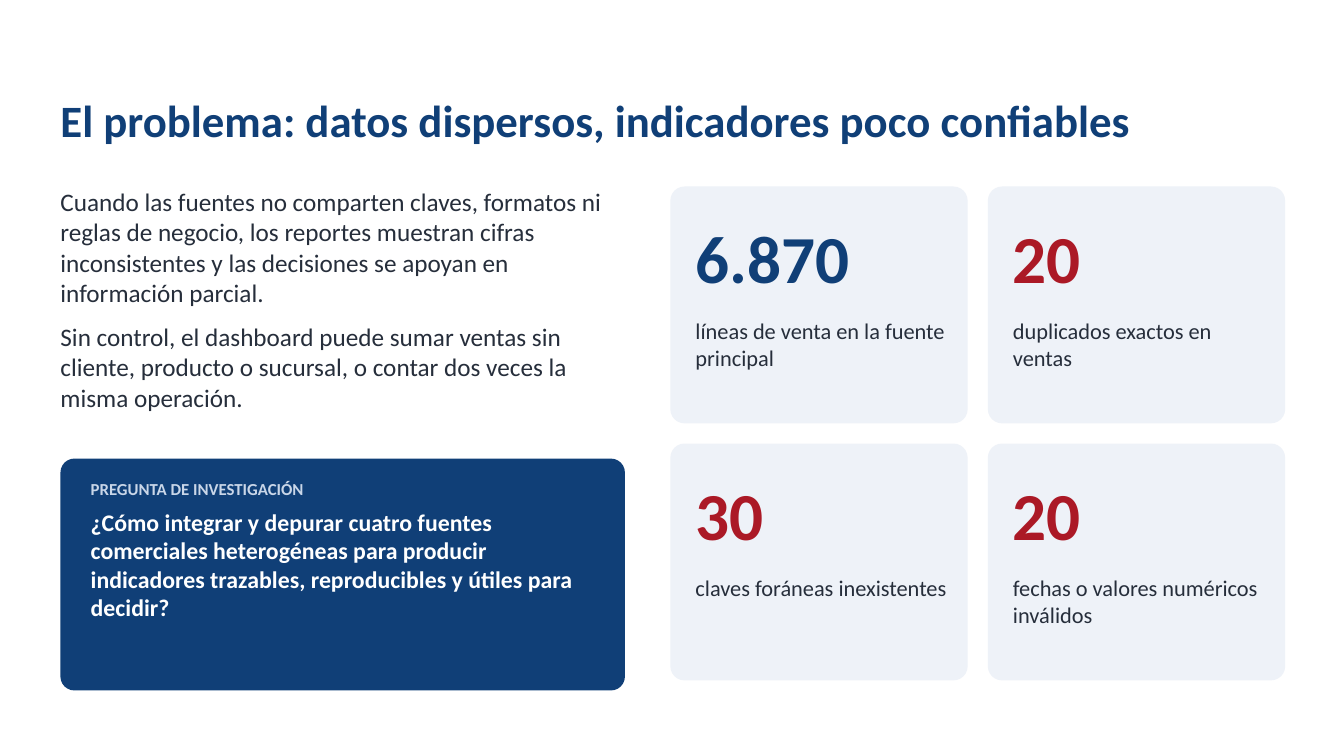
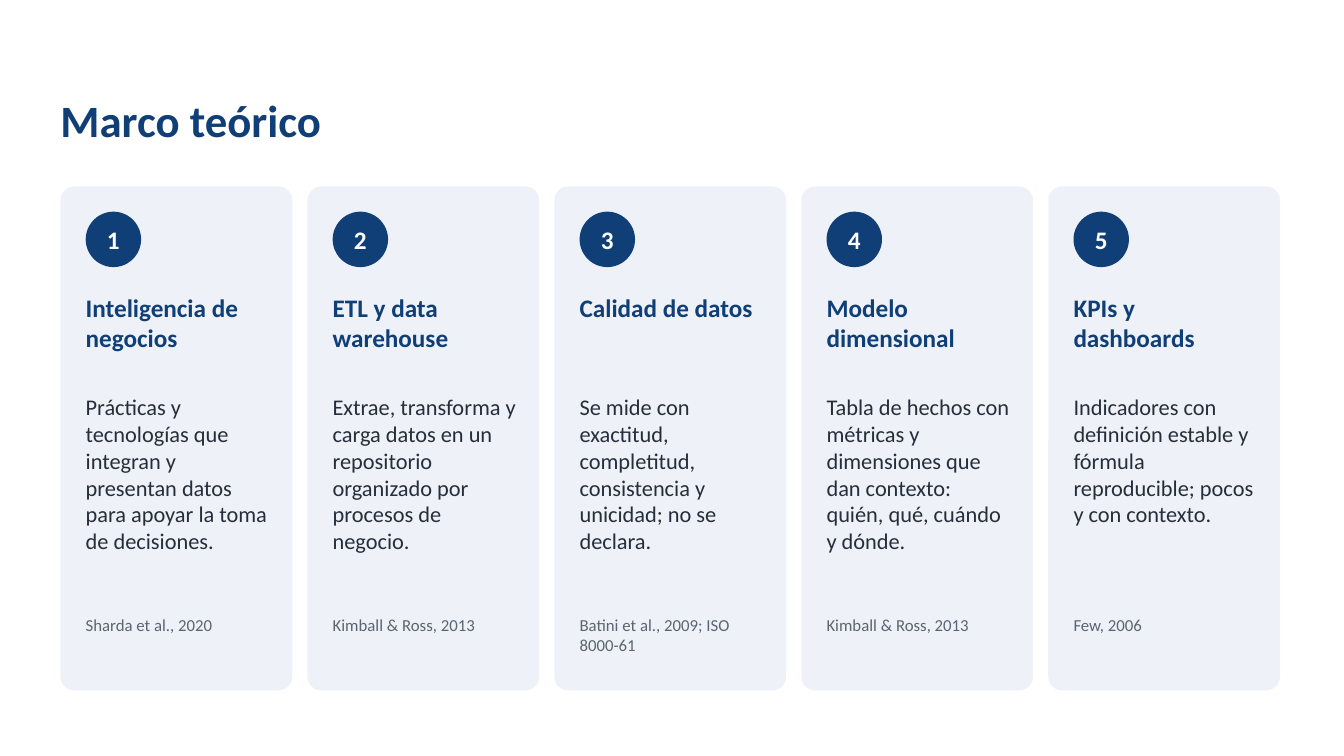
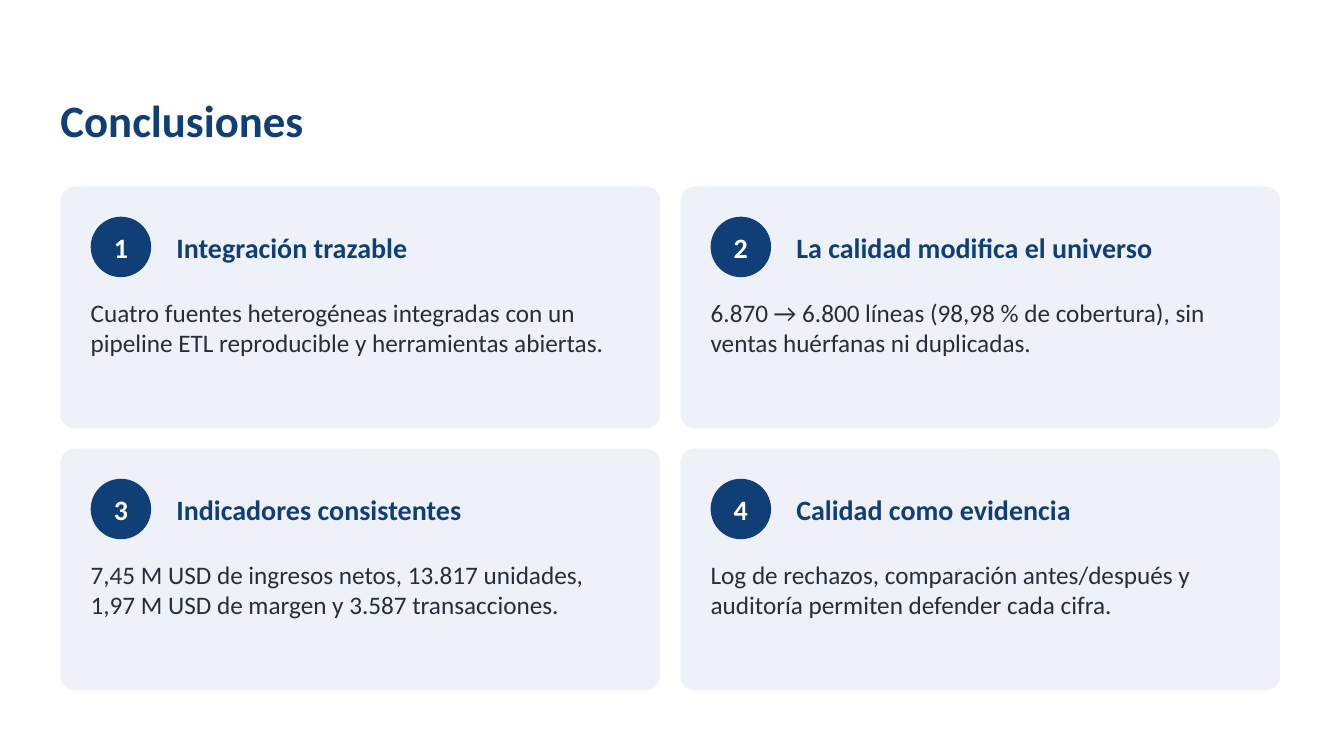
from dataclasses import dataclass

from pptx import Presentation
from pptx.dml.color import RGBColor
from pptx.enum.shapes import MSO_SHAPE
from pptx.enum.text import MSO_ANCHOR, PP_ALIGN
from pptx.util import Pt


@dataclass(frozen=True)
class Theme:
    font: str = "Calibri"
    navy: str = "103F77"
    red: str = "AB1926"
    ink: str = "262E3B"
    gray: str = "5A6472"
    pale: str = "EEF2F8"
    sky: str = "C9D6E8"
    white: str = "FFFFFF"
    title: int = 32
    figure: int = 48
    heading: int = 20
    body: int = 18
    question: int = 17
    small: int = 16
    note: int = 12
    corner: float = 0.06
    left: float = 43.2
    top: float = 133.2


T = Theme()


def grid(items, cols, left, top, w, h, gap):
    for i, item in enumerate(items):
        row, col = divmod(i, cols)
        yield i + 1, left + col * (w + gap), top + row * (h + gap), item


class Deck:
    def __init__(self):
        self.prs = Presentation()
        self.prs.slide_width, self.prs.slide_height = Pt(960), Pt(540)
        self.s = None

    def slide(self, title):
        self.s = self.prs.slides.add_slide(self.prs.slide_layouts[6])
        tf = self.text(T.left, 59.04, 871.2, 57.6, (title, T.title, T.navy, True),
                       anchor=MSO_ANCHOR.MIDDLE)
        tf.paragraphs[0].line_spacing = 0.9

    def fill_text(self, tf, paragraphs, anchor, align=PP_ALIGN.LEFT, after=0):
        tf.word_wrap = True
        tf.vertical_anchor = anchor
        tf.margin_left = tf.margin_right = tf.margin_top = tf.margin_bottom = 0
        for i, (text, size, color, bold) in enumerate(paragraphs):
            p = tf.add_paragraph() if i else tf.paragraphs[0]
            p.text = text
            p.alignment = align
            if i < len(paragraphs) - 1:
                p.space_after = Pt(after)
            p.font.name = T.font
            p.font.size = Pt(size)
            p.font.bold = bold
            p.font.color.rgb = RGBColor.from_string(color)

    def text(self, x, y, w, h, *paragraphs, anchor=MSO_ANCHOR.TOP, after=0):
        tf = self.s.shapes.add_textbox(Pt(x), Pt(y), Pt(w), Pt(h)).text_frame
        self.fill_text(tf, paragraphs, anchor, after=after)
        return tf

    def shape(self, kind, x, y, w, h, fill):
        sp = self.s.shapes.add_shape(kind, Pt(x), Pt(y), Pt(w), Pt(h))
        sp.shadow.inherit = False
        sp.fill.solid()
        sp.fill.fore_color.rgb = RGBColor.from_string(fill)
        sp.line.fill.background()
        return sp

    def card(self, x, y, w, h, fill=T.pale):
        sp = self.shape(MSO_SHAPE.ROUNDED_RECTANGLE, x, y, w, h, fill)
        sp.adjustments[0] = T.corner

    def badge(self, x, y, d, number, size):
        sp = self.shape(MSO_SHAPE.OVAL, x, y, d, d, T.navy)
        self.fill_text(sp.text_frame, [(str(number), size, T.white, True)],
                       MSO_ANCHOR.MIDDLE, PP_ALIGN.CENTER)


def problem(deck):
    deck.slide("El problema: datos dispersos, indicadores poco confiables")
    deck.text(
        T.left, T.top, 403.2, 187.2,
        ("Cuando las fuentes no comparten claves, formatos ni reglas de negocio, los reportes "
         "muestran cifras inconsistentes y las decisiones se apoyan en información parcial.",
         T.body, T.ink, False),
        ("Sin control, el dashboard puede sumar ventas sin cliente, producto o sucursal, "
         "o contar dos veces la misma operación.", T.body, T.ink, False),
        after=10)
    deck.card(T.left, 327.6, 403.2, 165.6, T.navy)
    deck.text(
        T.left + 21.6, 342, 360, 140.4,
        ("PREGUNTA DE INVESTIGACIÓN", T.note, T.sky, True),
        ("¿Cómo integrar y depurar cuatro fuentes comerciales heterogéneas para producir "
         "indicadores trazables, reproducibles y útiles para decidir?",
         T.question, T.white, True),
        after=6)
    figures = [
        ("6.870", "líneas de venta en la fuente principal", T.navy),
        ("20", "duplicados exactos en ventas", T.red),
        ("30", "claves foráneas inexistentes", T.red),
        ("20", "fechas o valores numéricos inválidos", T.red),
    ]
    w, h = 212.4, 169.2
    for _, x, y, (value, label, color) in grid(figures, 2, 478.8, T.top, w, h, 14.4):
        deck.card(x, y, w, h)
        deck.text(x + 18, y + 21.6, 180, 64.8, (value, T.figure, color, True))
        deck.text(x + 18, y + 93.6, 180, 64.8, (label, T.small, T.ink, False))


def framework(deck):
    deck.slide("Marco teórico")
    concepts = [
        ("Inteligencia de negocios",
         "Prácticas y tecnologías que integran y presentan datos para apoyar la toma de decisiones.",
         "Sharda et al., 2020"),
        ("ETL y data warehouse",
         "Extrae, transforma y carga datos en un repositorio organizado por procesos de negocio.",
         "Kimball & Ross, 2013"),
        ("Calidad de datos",
         "Se mide con exactitud, completitud, consistencia y unicidad; no se declara.",
         "Batini et al., 2009; ISO 8000-61"),
        ("Modelo dimensional",
         "Tabla de hechos con métricas y dimensiones que dan contexto: quién, qué, cuándo y dónde.",
         "Kimball & Ross, 2013"),
        ("KPIs y dashboards",
         "Indicadores con definición estable y fórmula reproducible; pocos y con contexto.",
         "Few, 2006"),
    ]
    w, h, text_w = 165.6, 360, 133.2
    for n, x, y, (name, definition, source) in grid(concepts, 5, T.left, T.top, w, h, 10.8):
        deck.card(x, y, w, h)
        deck.badge(x + 18, y + 18, 39.6, n, T.body)
        deck.text(x + 18, y + 75.6, text_w, 64.8, (name, T.body, T.navy, True))
        deck.text(x + 18, y + 147.6, text_w, 158.4, (definition, T.small, T.ink, False))
        deck.text(x + 18, y + 306, text_w, 46.8, (source, T.note, T.gray, False))


def conclusions(deck):
    deck.slide("Conclusiones")
    findings = [
        ("Integración trazable",
         "Cuatro fuentes heterogéneas integradas con un pipeline ETL reproducible "
         "y herramientas abiertas."),
        ("La calidad modifica el universo",
         "6.870 → 6.800 líneas (98,98 % de cobertura), sin ventas huérfanas ni duplicadas."),
        ("Indicadores consistentes",
         "7,45 M USD de ingresos netos, 13.817 unidades, 1,97 M USD de margen "
         "y 3.587 transacciones."),
        ("Calidad como evidencia",
         "Log de rechazos, comparación antes/después y auditoría permiten defender cada cifra."),
    ]
    w, h = 428.4, 172.8
    for n, x, y, (name, detail) in grid(findings, 2, T.left, T.top, w, h, 14.4):
        deck.card(x, y, w, h)
        deck.badge(x + 21.6, y + 21.6, 43.2, n, T.heading)
        deck.text(x + 82.8, y + 21.6, 324, 43.2, (name, T.heading, T.navy, True),
                  anchor=MSO_ANCHOR.MIDDLE)
        deck.text(x + 21.6, y + 79.2, 385.2, 86.4, (detail, T.body, T.ink, False))


def main():
    deck = Deck()
    problem(deck)
    framework(deck)
    conclusions(deck)
    deck.prs.save("out.pptx")


if __name__ == "__main__":
    main()
